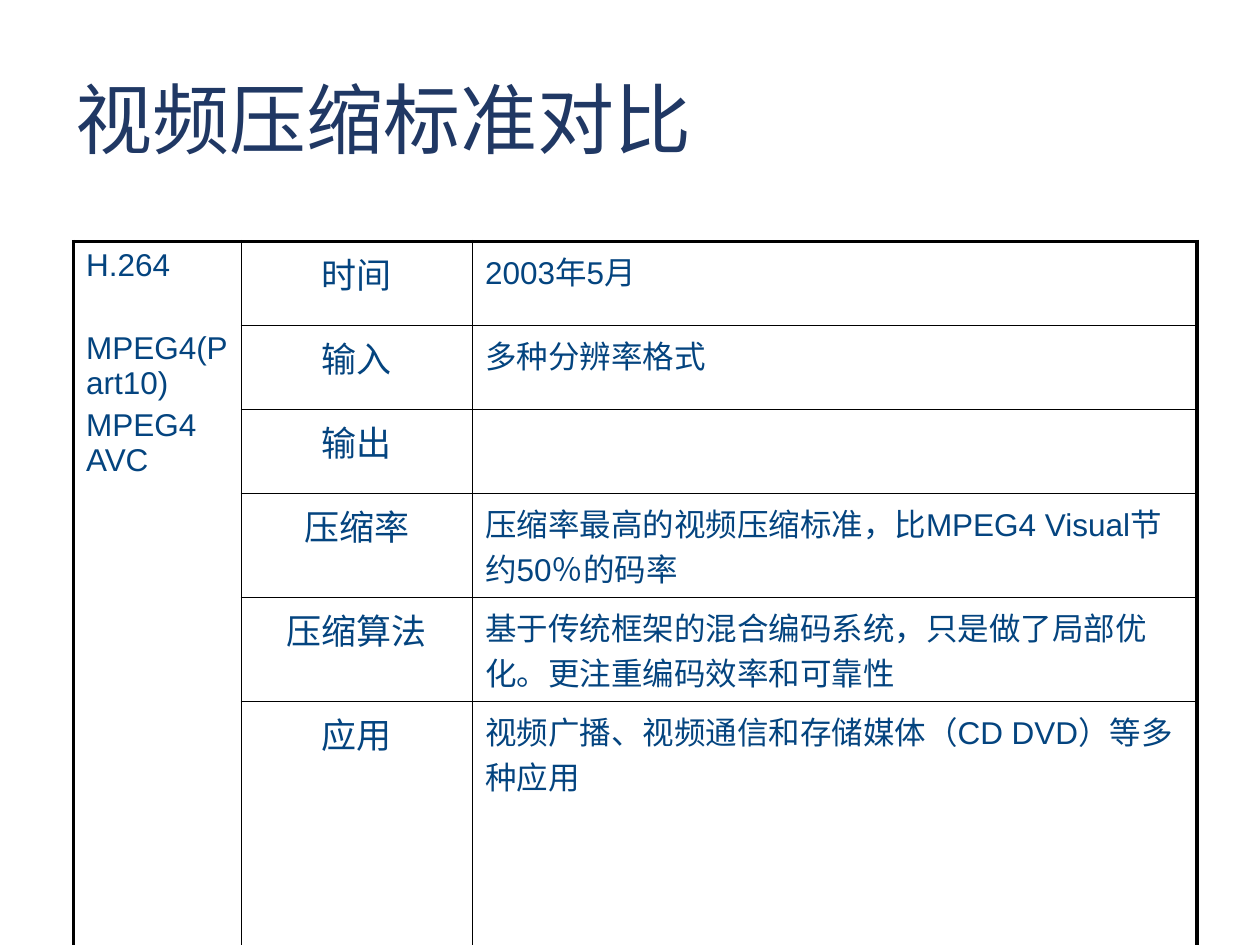
from lxml.etree import SubElement
from pptx import Presentation
from pptx.dml.color import RGBColor
from pptx.enum.text import MSO_ANCHOR, PP_ALIGN
from pptx.oxml import parse_xml
from pptx.oxml.ns import nsdecls, qn
from pptx.util import Pt

NAVY = RGBColor(0x20, 0x38, 0x64)
BLUE = RGBColor(0x04, 0x44, 0x7F)
BLACK = RGBColor(0, 0, 0)
WHITE = RGBColor(0xFF, 0xFF, 0xFF)
LATIN = "Arial"
CHINESE = "Noto Sans CJK SC"
CHINESE_JP = "Noto Sans CJK JP"
OUTER, INNER = Pt(2.25), Pt(1)

STANDARD = [("H.264", 0), ("MPEG4(Part10)", 27.4), ("MPEG4 AVC", 3.6)]
FEATURES = [
    ("时间", [("2003年5月", LATIN)]),
    ("输入", [("多种分辨率格式", LATIN)]),
    ("输出", []),
    ("压缩率", [("压缩率最高的视频压缩标准，比", CHINESE_JP),
             ("MPEG4 Visual节约50％的码率", LATIN)]),
    ("压缩算法", [("基于传统框架的混合编码系统，只是做了局部优化。更注重编码效率和可靠性", LATIN)]),
    ("应用", [("视频广播、视频通信和存储媒体（CD DVD）等多种应用", LATIN)]),
]
COLUMN_WIDTHS = [96, 132, 414]
ROW_HEIGHTS = [48, 48, 48, 59.4, 59.4, 138]


def add_run(paragraph, words, size, color, latin=LATIN):
    run = paragraph.add_run()
    run.text = words
    run.font.size = Pt(size)
    run.font.color.rgb = color
    run.font.name = latin
    east_asian = CHINESE if latin == LATIN else latin
    SubElement(run.font._element, qn("a:ea"), typeface=east_asian)


def set_borders(cell, left, right, top, bottom):
    properties = cell._tc.get_or_add_tcPr()
    widths = {"lnL": left, "lnR": right, "lnT": top, "lnB": bottom}
    for position, (side, width) in enumerate(widths.items()):
        border = parse_xml(
            f'<a:{side} {nsdecls("a")} w="{int(width)}"><a:solidFill>'
            f'<a:srgbClr val="{BLACK}"/></a:solidFill></a:{side}>')
        properties.insert(position, border)


def add_title(slide, left, top, width, height):
    title = slide.shapes.add_textbox(left, top, width, height).text_frame
    title.word_wrap = True
    title.vertical_anchor = MSO_ANCHOR.MIDDLE
    title.paragraphs[0].line_spacing = 0.9
    add_run(title.paragraphs[0], "视频压缩标准对比", 44, NAVY, CHINESE)


def fill_standard(cell):
    for index, (name, gap) in enumerate(STANDARD):
        frame = cell.text_frame
        paragraph = frame.add_paragraph() if index else frame.paragraphs[0]
        paragraph.alignment = PP_ALIGN.JUSTIFY
        paragraph.space_before = Pt(gap)
        add_run(paragraph, name, 18, BLUE)


def add_comparison(slide, left, top, width):
    rows, columns = len(ROW_HEIGHTS), len(COLUMN_WIDTHS)
    height = Pt(sum(ROW_HEIGHTS))
    comparison = slide.shapes.add_table(rows, columns, left, top, width, height).table
    comparison.first_row = False
    comparison.horz_banding = False
    for column, column_width in zip(comparison.columns, COLUMN_WIDTHS):
        column.width = Pt(column_width)
    for row, row_height in zip(comparison.rows, ROW_HEIGHTS):
        row.height = Pt(row_height)

    comparison.cell(0, 0).merge(comparison.cell(rows - 1, 0))
    for r in range(rows):
        for c in range(columns):
            cell = comparison.cell(r, c)
            cell.fill.solid()
            cell.fill.fore_color.rgb = WHITE
            set_borders(
                cell,
                OUTER if c == 0 else INNER,
                OUTER if c == columns - 1 else INNER,
                OUTER if r == 0 else INNER,
                OUTER if r == rows - 1 or cell.is_merge_origin else INNER)

    fill_standard(comparison.cell(0, 0))
    for r, (feature, details) in enumerate(FEATURES):
        label = comparison.cell(r, 1).text_frame.paragraphs[0]
        label.alignment = PP_ALIGN.CENTER
        add_run(label, feature, 20, BLUE)
        description = comparison.cell(r, 2).text_frame.paragraphs[0]
        description._p.get_or_add_pPr().set("hangingPunct", "0")
        for words, font in details:
            add_run(description, words, 18, BLUE, font)


def main():
    presentation = Presentation()
    presentation.slide_width, presentation.slide_height = Pt(720), Pt(540)
    slide = presentation.slides.add_slide(presentation.slide_layouts[6])
    add_title(slide, Pt(36), Pt(36), Pt(648), Pt(69))
    add_comparison(slide, Pt(42), Pt(138), Pt(642))
    presentation.save("out.pptx")


if __name__ == "__main__":
    main()
